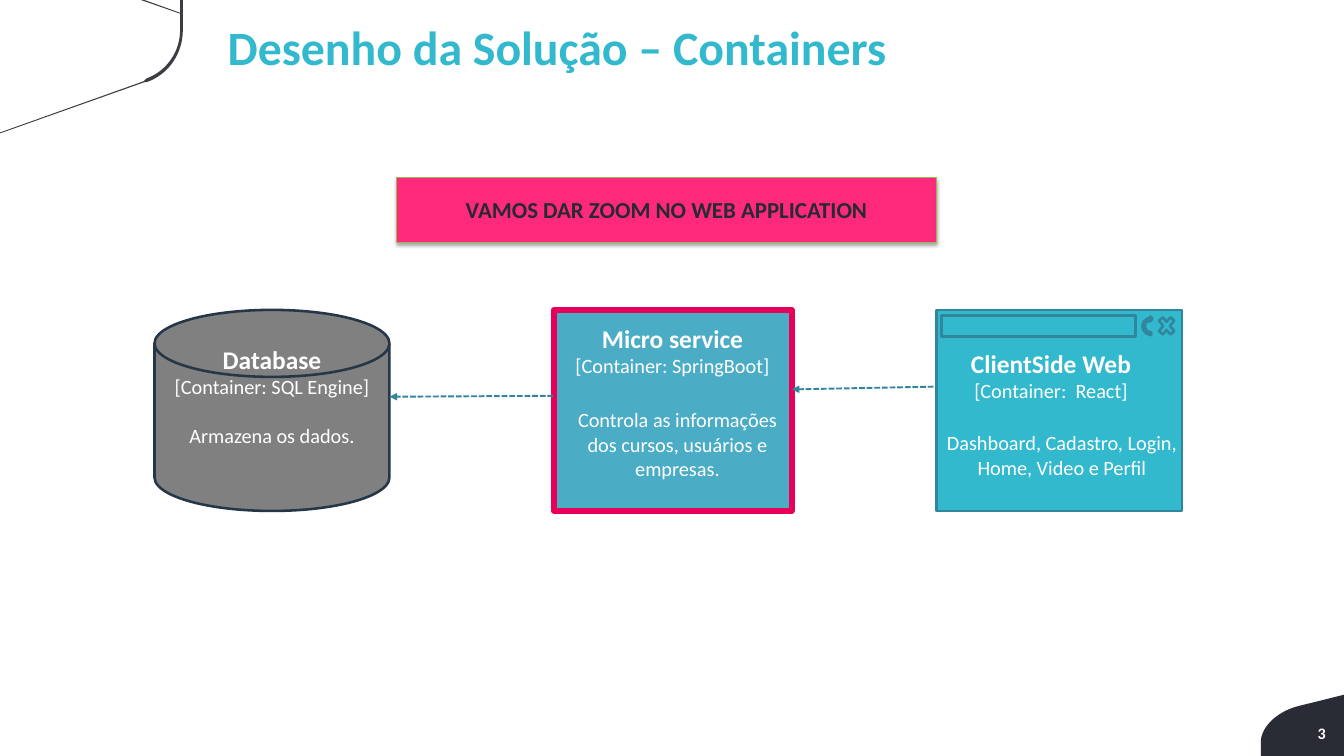
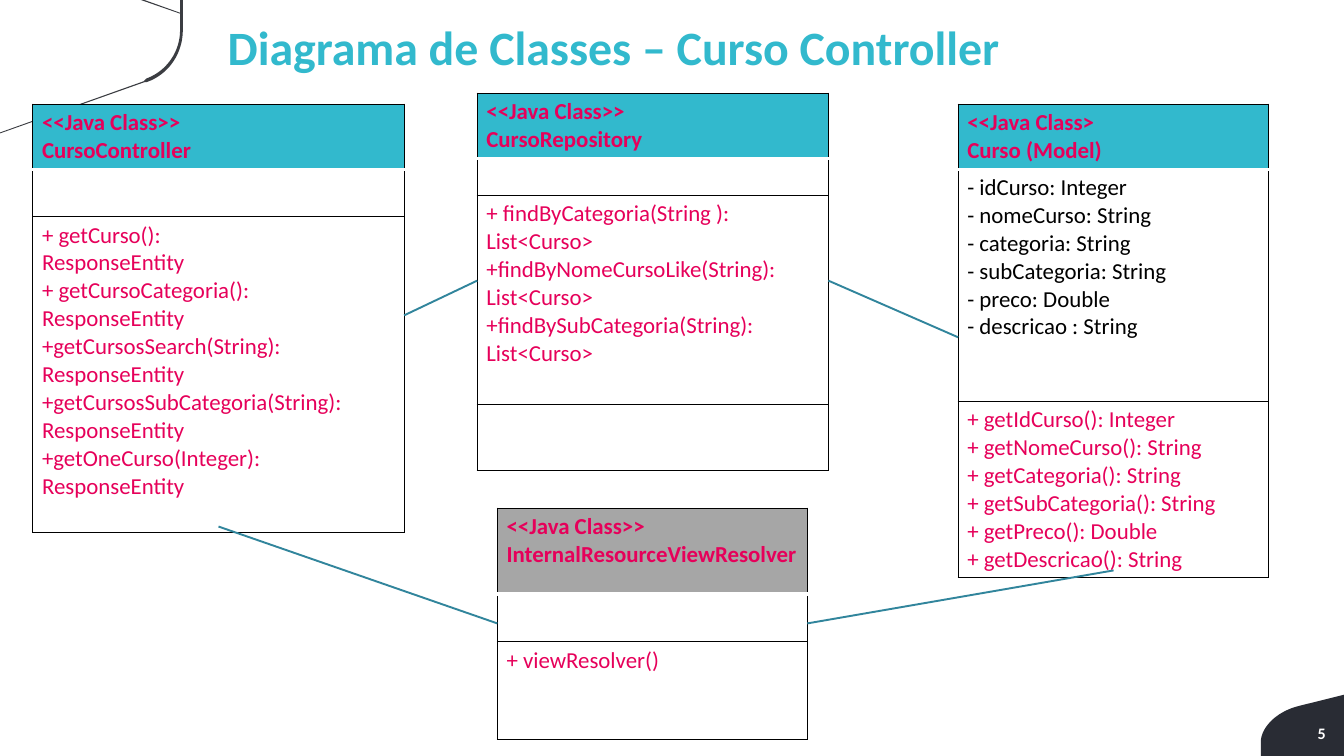
from dataclasses import dataclass
from typing import Optional

from lxml.etree import SubElement
from pptx import Presentation
from pptx.dml.color import RGBColor
from pptx.enum.dml import MSO_LINE
from pptx.enum.shapes import MSO_CONNECTOR, MSO_SHAPE as Preset
from pptx.enum.text import MSO_ANCHOR as Anchor, MSO_AUTO_SIZE, PP_ALIGN as Align
from pptx.oxml.ns import qn
from pptx.util import Inches, Pt

FONT = "Calibri"
WHITE = RGBColor(0xFF, 0xFF, 0xFF)
BLACK = RGBColor(0x00, 0x00, 0x00)
CYAN = RGBColor(0x32, 0xB9, 0xCD)
TEAL = RGBColor(0x31, 0x85, 0x9C)
SKY = RGBColor(0x4B, 0xAC, 0xC6)
MAGENTA = RGBColor(0xE6, 0x00, 0x5A)
PINK = RGBColor(0xFF, 0x29, 0x7B)
GREEN = RGBColor(0x98, 0xB9, 0x55)
NAVY = RGBColor(0x25, 0x37, 0x46)
INK = RGBColor(0x27, 0x2A, 0x30)
DARK = RGBColor(0x29, 0x2C, 0x34)
CHARCOAL = RGBColor(0x3B, 0x3D, 0x42)
GRAY = RGBColor(0x80, 0x80, 0x80)
SILVER = RGBColor(0xA6, 0xA6, 0xA6)

Point = tuple[float, float]
Box = tuple[float, float, float, float]


@dataclass
class Container:
    """A C4 container: its outline, heading and description."""
    preset: Preset
    box: Box
    fill: RGBColor
    line: RGBColor
    weight: float
    heading_box: Box
    name: str
    technology: str
    detail: str
    detail_box: Optional[Box] = None


@dataclass
class Section:
    """One compartment of a class box."""
    height: float
    text: str = ""
    color: RGBColor = MAGENTA


@dataclass
class ClassBox:
    """A UML class drawn as a one-column table."""
    left: float
    top: float
    width: float
    header: Section
    body: list[Section]
    fill: RGBColor = CYAN


def inches(values) -> list[int]:
    """Convert several numbers to lengths."""
    return [Inches(value) for value in values]


def write(frame, text: str, *, size: float = 18, color=WHITE, bold: bool = False,
          align=Align.LEFT, anchor=Anchor.TOP, gap: float = 0, append: bool = False) -> None:
    """Write one paragraph per line of text; gap is the space before each."""
    if not append:
        frame.word_wrap = True
        frame.auto_size = MSO_AUTO_SIZE.NONE
        frame.vertical_anchor = anchor
    for index, line in enumerate(text.split("\n")):
        paragraph = frame.add_paragraph() if append or index else frame.paragraphs[0]
        paragraph.alignment = align
        paragraph.space_before = Pt(gap)
        run = paragraph.add_run()
        run.text = line
        font = run.font
        font.name, font.size, font.bold = FONT, Pt(size), bold
        font.color.rgb = color


def add_text(shapes, box: Box, text: str, **style):
    """Add a text box and return its frame."""
    frame = shapes.add_textbox(*inches(box)).text_frame
    write(frame, text, **style)
    return frame


def paint(shape, fill: Optional[RGBColor], line: Optional[RGBColor], weight: float = 2):
    """Set fill and line, without shadow."""
    shape.shadow.inherit = False
    if fill is None:
        shape.fill.background()
    else:
        shape.fill.solid()
        shape.fill.fore_color.rgb = fill
    if line is None:
        shape.line.fill.background()
    else:
        shape.line.color.rgb = line
        shape.line.width = Pt(weight)
    return shape


def add_preset(shapes, preset: Preset, box: Box, fill, line, weight: float = 2):
    """Add a painted preset shape."""
    return paint(shapes.add_shape(preset, *inches(box)), fill, line, weight)


def curve(a: Point, b: Point, c: Point, d: Point, steps: int = 24) -> list[Point]:
    """Sample a cubic Bezier curve."""
    points = []
    for step in range(steps + 1):
        t = step / steps
        weights = ((1 - t) ** 3, 3 * t * (1 - t) ** 2, 3 * t * t * (1 - t), t ** 3)
        points.append(tuple(sum(w * p[axis] for w, p in zip(weights, (a, b, c, d)))
                            for axis in (0, 1)))
    return points


def add_to_layout(layout, slide, outline: list[Point], fill: RGBColor, number: int) -> None:
    """Draw a filled outline and place it on the shared layout."""
    start, *rest = [tuple(inches(point)) for point in outline]
    builder = slide.shapes.build_freeform(*start)
    builder.add_line_segments(rest, close=True)
    shape = paint(builder.convert_to_shape(), fill, None)
    shape.element.nvSpPr.cNvPr.id = number
    layout.shapes.element.append(shape.element)


def decorate(layout, slide) -> None:
    """Draw the two corner ornaments shared by all slides."""
    page_corner = [(14.7, 7.6), *curve((14.22, 7.72), (13.96, 7.78), (13.79, 7.96), (13.79, 8.12)),
                   (13.79, 8.27), (14.7, 8.27)]
    top_corner = [(0, 1.46), (1.58, 0.9), *curve((1.6, 0.9), (1.84, 0.82), (2, 0.59), (2, 0.33)),
                  (2, 0), (1.97, 0), (1.97, 0.14), (1.58, 0), (1.54, 0), (1.97, 0.15),
                  *curve((1.97, 0.33), (1.97, 0.57), (1.82, 0.78), (1.6, 0.86)),
                  (1.57, 0.89), (0, 1.45)]
    add_to_layout(layout, slide, page_corner, DARK, 21)
    add_to_layout(layout, slide, top_corner, CHARCOAL, 22)


def add_page(deck, layout, title: str, number: int):
    """Add a slide with its title and page number."""
    slide = deck.slides.add_slide(layout)
    write(slide.shapes.title.text_frame, title, size=37.7, color=CYAN, bold=True)
    page = add_text(slide.shapes, (13.83, 7.91, 0.69, 0.23), str(number),
                    size=12.6, bold=True, align=Align.RIGHT)
    page.margin_left = page.margin_right = Inches(0.02)
    page.margin_top = page.margin_bottom = Inches(0.01)
    return slide


def add_link(slide, start: Point, end: Point, arrow: bool = False) -> None:
    """Connect two points, with a dashed arrow if asked."""
    link = slide.shapes.add_connector(MSO_CONNECTOR.STRAIGHT, *inches(start + end))
    link.line.color.rgb = TEAL
    link.line.width = Pt(1.5)
    if arrow:
        link.line.dash_style = MSO_LINE.SQUARE_DOT
        SubElement(link.line._get_or_add_ln(), qn("a:tailEnd"), type="triangle")
    SubElement(link.element.spPr, qn("a:effectLst"))


def add_container(slide, item: Container):
    """Draw a container with its texts and return its group's shapes."""
    shapes = slide.shapes.add_group_shape().shapes
    add_preset(shapes, item.preset, item.box, item.fill, item.line, item.weight)
    heading = add_text(shapes, item.heading_box, item.name, size=20, bold=True, align=Align.CENTER)
    write(heading, item.technology, size=16, align=Align.CENTER, append=True)
    if item.detail_box:
        add_text(shapes, item.detail_box, item.detail, size=16, align=Align.CENTER)
    else:
        write(heading, item.detail, size=16, align=Align.CENTER, gap=19.5, append=True)
    return shapes


def add_banner(slide, text: str) -> None:
    """Add the pink call-out with a soft shadow."""
    banner = add_preset(slide.shapes, Preset.RECTANGLE, (4.34, 1.94, 5.9, 0.71), PINK, GREEN, 0.75)
    effects = banner.element.spPr.find(qn("a:effectLst"))
    shadow = SubElement(effects, qn("a:outerShdw"), blurRad=str(Pt(3.1)), dist=str(Pt(1.8)),
                        dir="5400000", rotWithShape="0")
    tint = SubElement(shadow, qn("a:srgbClr"), val=str(BLACK))
    SubElement(tint, qn("a:alpha"), val="35000")
    write(banner.text_frame, text, color=INK, bold=True, align=Align.CENTER, anchor=Anchor.MIDDLE)


def set_borders(cell, top: tuple[RGBColor, int], bottom: tuple[RGBColor, int]) -> None:
    """Draw black sides and the given top and bottom borders."""
    side = (BLACK, 1)
    properties = cell._tc.get_or_add_tcPr()
    for tag, (color, weight) in (("a:lnL", side), ("a:lnR", side), ("a:lnT", top), ("a:lnB", bottom)):
        border = SubElement(properties, qn(tag), w=str(Pt(weight)))
        SubElement(SubElement(border, qn("a:solidFill")), qn("a:srgbClr"), val=str(color))


def add_class(slide, item: ClassBox) -> None:
    """Draw a UML class box."""
    sections = [item.header, *item.body]
    height = sum(section.height for section in sections)
    table = slide.shapes.add_table(
        len(sections), 1, *inches((item.left, item.top, item.width, height))).table
    table.horz_banding = False
    for index, section in enumerate(sections):
        table.rows[index].height = Inches(section.height)
        cell = table.cell(index, 0)
        is_header = index == 0
        set_borders(cell, top=(WHITE if index == 1 else BLACK, 1),
                    bottom=(WHITE, 3) if is_header else (BLACK, 1))
        if is_header:
            cell.fill.solid()
            cell.fill.fore_color.rgb = item.fill
        else:
            cell.fill.background()
        if section.text:
            write(cell.text_frame, section.text, color=section.color, bold=is_header)


def build_containers(slide) -> None:
    """Fill the container diagram."""
    database = Container(Preset.FLOWCHART_MAGNETIC_DISK, (1.69, 3.39, 2.57, 2.2), GRAY, NAVY, 2,
                         (1.57, 3.71, 2.81, 1.25), "Database", "[Container: SQL Engine]",
                         "Armazena os dados.")
    service = Container(Preset.RECTANGLE, (6.06, 3.39, 2.6, 2.2), SKY, MAGENTA, 4.5,
                        (5.95, 3.48, 2.81, 0.71), "Micro service", "[Container: SpringBoot]",
                        "Controla as informações dos cursos, usuários e empresas.",
                        (6.15, 4.41, 2.52, 0.91))
    client = Container(Preset.RECTANGLE, (10.24, 3.39, 2.69, 2.2), CYAN, TEAL, 2,
                       (10.09, 3.76, 2.81, 0.71), "ClientSide Web", "[Container:  React]",
                       "Dashboard, Cadastro, Login, Home, Video e Perfil",
                       (10.21, 4.66, 2.81, 0.64))
    add_container(slide, database)
    add_container(slide, service)
    browser = add_container(slide, client)
    add_preset(browser, Preset.RECTANGLE, (10.3, 3.45, 2.12, 0.23), None, TEAL)
    add_preset(browser, Preset.MATH_MULTIPLY, (12.64, 3.42, 0.24, 0.29), None, TEAL)
    reload_icon = add_preset(browser, Preset.CIRCULAR_ARROW, (12.49, 3.45, 0.22, 0.24), None, TEAL)
    reload_icon.rotation = 275
    add_link(slide, (6.05, 4.33), (4.26, 4.34), arrow=True)
    add_link(slide, (10.21, 4.23), (8.66, 4.26), arrow=True)
    add_banner(slide, "VAMOS DAR ZOOM NO WEB APPLICATION")


def build_classes(slide) -> None:
    """Fill the class diagram."""
    controller = ClassBox(0.36, 1.14, 4.06, Section(0.71, "<<Java Class>>\nCursoController"), [
        Section(0.52),
        Section(3.45, "+ getCurso(): \nResponseEntity\n+ getCursoCategoria(): ResponseEntity\n"
                "+getCursosSearch(String): ResponseEntity\n"
                "+getCursosSubCategoria(String): ResponseEntity\n"
                "+getOneCurso(Integer): ResponseEntity")])
    model = ClassBox(10.48, 1.14, 3.39, Section(0.71, "<<Java Class>\nCurso (Model)"), [
        Section(2.54, "- idCurso: Integer\n- nomeCurso: String \n- categoria: String \n"
                "- subCategoria: String\n- preco: Double\n- descricao : String", BLACK),
        Section(1.93, "+ getIdCurso(): Integer\n+ getNomeCurso(): String\n"
                "+ getCategoria(): String\n+ getSubCategoria(): String\n"
                "+ getPreco(): Double\n+ getDescricao(): String")])
    repository = ClassBox(5.22, 1.02, 3.84, Section(0.71, "<<Java Class>>\nCursoRepository"), [
        Section(0.4),
        Section(2.29, "+ findByCategoria(String ):\nList<Curso>\n"
                "+findByNomeCursoLike(String): List<Curso>\n"
                "+findBySubCategoria(String):\nList<Curso>"),
        Section(0.72)])
    resolver = ClassBox(5.44, 5.56, 3.39, Section(
        0.94, "<<Java Class>>\nInternalResourceViewResolver "),
        [Section(0.52), Section(1.07, "+ viewResolver()")], SILVER)
    for item in (controller, model, repository, resolver):
        add_class(slide, item)
    for start, end in (((4.42, 3.45), (5.22, 3.07)), ((2.39, 5.76), (5.44, 6.82)),
                       ((9.06, 3.07), (10.48, 3.69)), ((8.83, 6.82), (12.18, 6.24))):
        add_link(slide, start, end)


def main() -> None:
    """Build and save the deck."""
    deck = Presentation()
    deck.slide_width, deck.slide_height = inches((14.7, 8.27))
    layout = deck.slide_layouts[5]
    heading = layout.placeholders[0]
    heading.left, heading.top, heading.width, heading.height = inches((2.39, 0.14, 11.79, 0.84))
    containers = add_page(deck, layout, "Desenho da Solução – Containers", 3)
    decorate(layout, containers)
    build_containers(containers)
    build_classes(add_page(deck, layout, "Diagrama de Classes – Curso Controller", 5))
    deck.save("out.pptx")


main()
